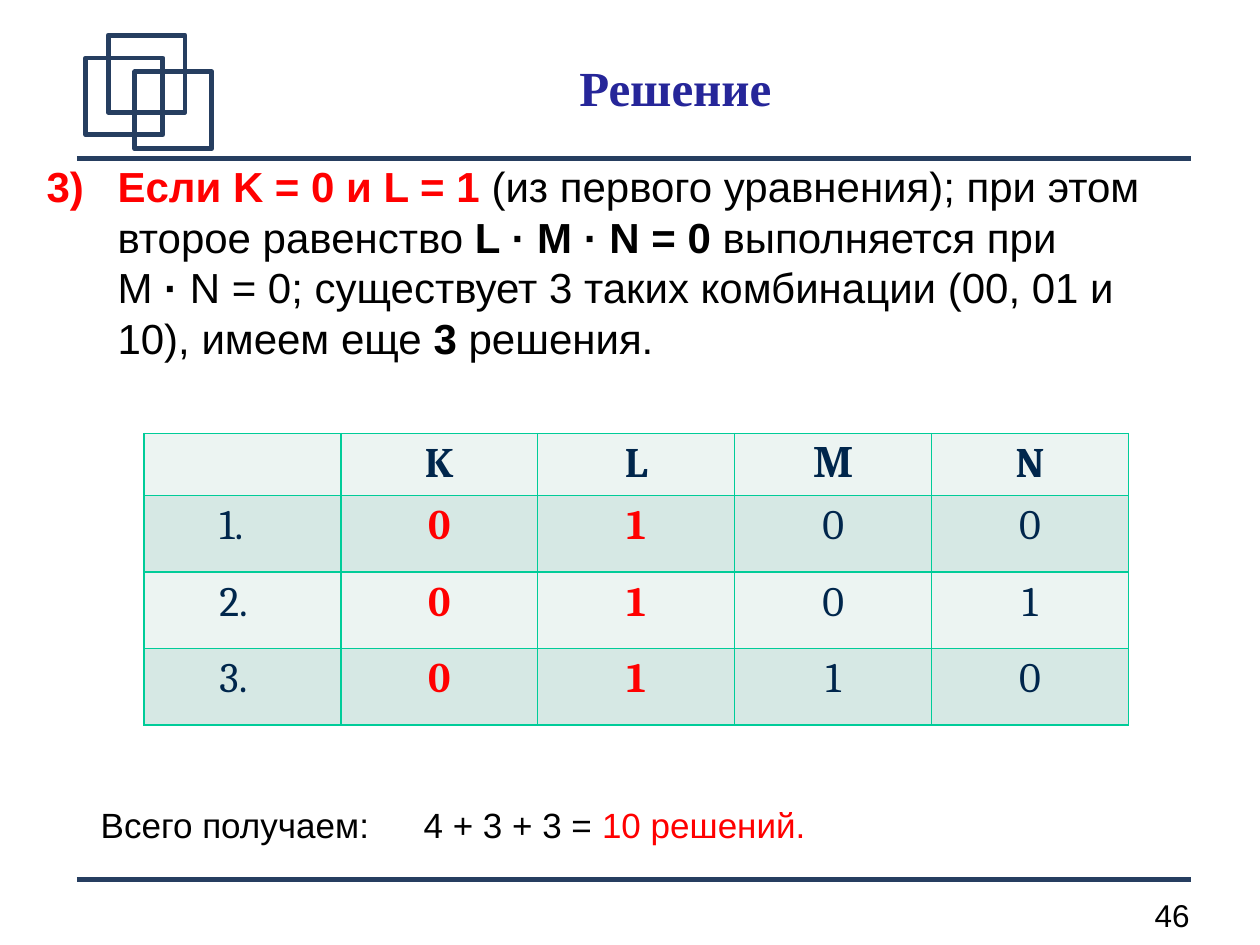
import dataclasses

import lxml.etree
import pptx
import pptx.dml.color
import pptx.enum.shapes
import pptx.enum.text
import pptx.oxml.ns
import pptx.util

Cm = pptx.util.Cm
Pt = pptx.util.Pt
qn = pptx.oxml.ns.qn
ALIGN = pptx.enum.text.PP_ALIGN


@dataclasses.dataclass(frozen=True)
class Theme:
    frame: str = "263E60"
    heading: str = "262699"
    body: str = "000000"
    accent: str = "FF0000"
    cell_text: str = "00264C"
    cell_border: str = "00CC99"
    row_fills: tuple = ("ECF4F2", "D6E8E4")
    heading_size: int = 28
    body_size: int = 24
    total_size: int = 20
    number_size: int = 18
    frame_width: float = 2.83
    sans: str = "Arial"
    serif: str = "Times New Roman"
    cell_font: str = "Cambria"


THEME = Theme()


def rgb(code):
    return pptx.dml.color.RGBColor.from_string(code)


def add_text(paragraph, text, size=THEME.body_size, color=THEME.body,
             bold=False, font=THEME.sans):
    run = paragraph.add_run()
    run.text = text
    run.font.size = Pt(size)
    run.font.bold = bold
    run.font.name = font
    run.font.color.rgb = rgb(color)


def add_paragraph_box(slide, left, top, width, height,
                      anchor=pptx.enum.text.MSO_ANCHOR.TOP, align=ALIGN.LEFT):
    frame = slide.shapes.add_textbox(Cm(left), Cm(top), Cm(width), Cm(height)).text_frame
    frame.word_wrap = True
    frame.vertical_anchor = anchor
    paragraph = frame.paragraphs[0]
    paragraph.alignment = align
    return paragraph


def indent(paragraph, margin, first_line):
    properties = paragraph._p.get_or_add_pPr()
    properties.set("marL", str(Cm(margin)))
    properties.set("indent", str(Cm(first_line)))
    return properties


def add_rule(slide, height):
    rule = slide.shapes.add_connector(
        pptx.enum.shapes.MSO_CONNECTOR.STRAIGHT, Cm(1.55), Cm(height), Cm(24), Cm(height))
    rule.line.color.rgb = rgb(THEME.frame)
    rule.line.width = Pt(THEME.frame_width)
    lxml.etree.SubElement(rule._element.spPr, qn("a:effectLst"))


def add_square(slide, left, top):
    square = slide.shapes.add_shape(
        pptx.enum.shapes.MSO_SHAPE.ROUNDED_RECTANGLE, Cm(left), Cm(top), Cm(1.55), Cm(1.55))
    square.adjustments[0] = 0
    square.shadow.inherit = False
    square.fill.background()
    square.line.color.rgb = rgb(THEME.frame)
    square.line.width = Pt(THEME.frame_width)


def style_cell(cell, fill):
    properties = cell._tc.get_or_add_tcPr()
    for side in ("a:lnL", "a:lnR", "a:lnT", "a:lnB"):
        border = lxml.etree.SubElement(properties, qn(side), w=str(Pt(1)))
        solid = lxml.etree.SubElement(border, qn("a:solidFill"))
        lxml.etree.SubElement(solid, qn("a:srgbClr"), val=THEME.cell_border)
    cell.fill.solid()
    cell.fill.fore_color.rgb = rgb(fill)


def add_solutions(slide, variables, solutions):
    rows = [["", *variables]]
    rows += [[f"{number}.", *values] for number, values in enumerate(solutions, 1)]
    heights = [1.25] + [1.54] * len(solutions)
    table = slide.shapes.add_table(
        len(rows), len(rows[0]), Cm(2.9), Cm(8.74), Cm(19.85), Cm(sum(heights))).table
    for column in table.columns:
        column.width = Cm(3.97)
    for r, values in enumerate(rows):
        table.rows[r].height = Cm(heights[r])
        for c, value in enumerate(values):
            cell = table.cell(r, c)
            style_cell(cell, THEME.row_fills[r % 2])
            if not value:
                continue
            paragraph = cell.text_frame.paragraphs[0]
            paragraph.line_spacing = 0.98
            if c == 0:
                paragraph.level = 1
                paragraph.space_after = Pt(11.4)
                indent(paragraph, 2.24, -0.97)
            else:
                paragraph.alignment = ALIGN.CENTER
                paragraph.space_after = Pt(14.2)
            fixed = r > 0 and c in (1, 2)
            add_text(paragraph, value, font=THEME.cell_font, bold=r == 0 or fixed,
                     color=THEME.accent if fixed else THEME.cell_text)


def add_case(slide):
    case = add_paragraph_box(slide, 0.69, 3.12, 23.62, 4.37)
    properties = indent(case, 1.43, -1.43)
    lxml.etree.SubElement(properties, qn("a:buFont"), typeface=THEME.sans)
    lxml.etree.SubElement(properties, qn("a:buAutoNum"), type="arabicParenR", startAt="3")
    add_text(case, "Если K = 0 и L = 1", color=THEME.accent, bold=True)
    add_text(case, " (из первого уравнения); при этом второе равенство ")
    add_text(case, "L · M · N = 0 ", bold=True)
    add_text(case, "выполняется при ")
    case.add_line_break()
    add_text(case, "М ")
    add_text(case, "·", bold=True)
    add_text(case, " N = 0; существует 3 таких комбинации (00, 01 и 10), имеем еще ")
    add_text(case, "3 ", bold=True)
    add_text(case, "решения.")


def add_total(slide):
    total = add_paragraph_box(slide, 1.78, 15.93, 23.62, 1.27)
    indent(total, 1.43, -1.43)
    add_text(total, "Всего получаем: \t4 + 3 + 3 = ", size=THEME.total_size)
    add_text(total, "10 решений.", size=THEME.total_size, color=THEME.accent)
    add_text(total, " ")


def main():
    deck = pptx.Presentation()
    deck.slide_width, deck.slide_height = Cm(25.4), Cm(19.05)
    slide = deck.slides.add_slide(deck.slide_layouts[6])

    for height in (17.73, 3.2):
        add_rule(slide, height)
    page = add_paragraph_box(slide, 21.46, 17.93, 2.77, 1.02, align=ALIGN.RIGHT)
    add_text(page, "46", size=THEME.number_size)
    for left, top in ((1.73, 1.17), (2.18, 0.71), (2.72, 1.45)):
        add_square(slide, left, top)

    add_case(slide)
    add_solutions(slide, "KLМN", ("0100", "0101", "0110"))
    add_total(slide)

    heading = add_paragraph_box(slide, 2.97, 0.58, 21.29, 1.93,
                                anchor=pptx.enum.text.MSO_ANCHOR.BOTTOM, align=ALIGN.CENTER)
    heading.line_spacing = 0.98
    add_text(heading, "Решение", size=THEME.heading_size, color=THEME.heading,
             bold=True, font=THEME.serif)
    deck.save("out.pptx")


if __name__ == "__main__":
    main()
